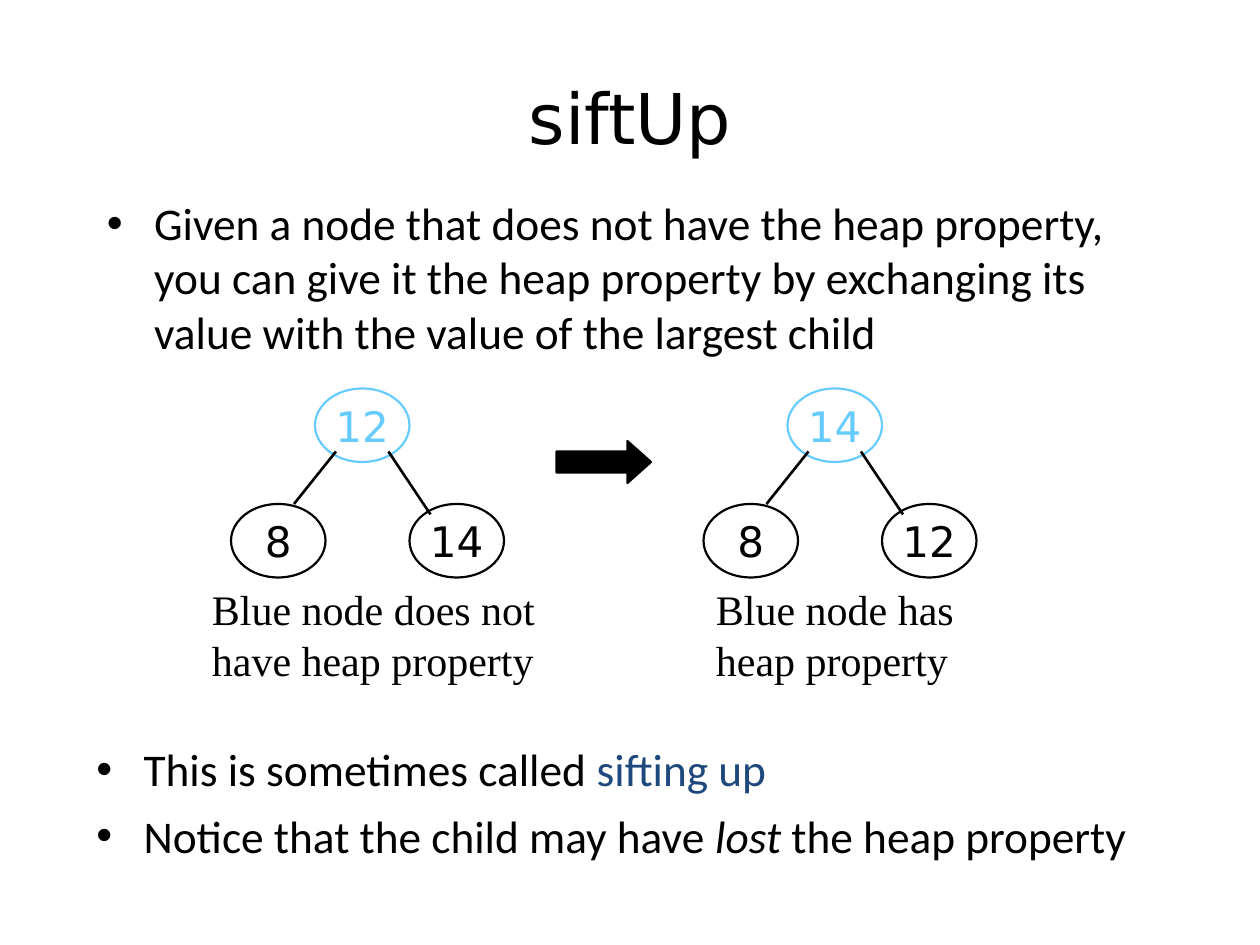
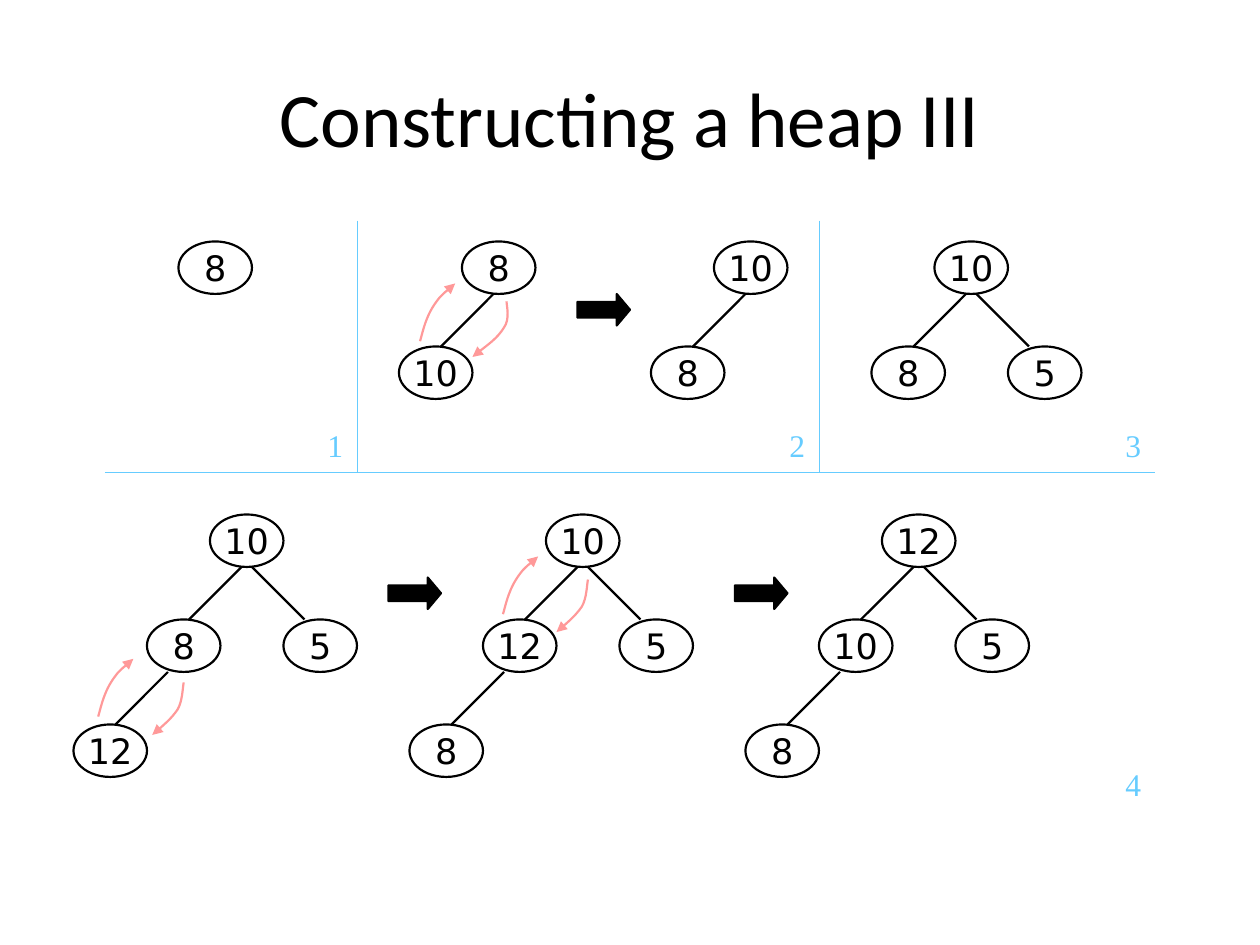
"""Build two slides on sifting up and constructing a heap."""
from lxml import etree
from pptx import Presentation
from pptx.dml.color import RGBColor
from pptx.enum.shapes import MSO_CONNECTOR, MSO_SHAPE
from pptx.enum.text import MSO_ANCHOR, PP_ALIGN
from pptx.oxml.ns import qn
from pptx.util import Cm, Pt

STRAIGHT = MSO_CONNECTOR.STRAIGHT
OVAL, RIGHT_ARROW = MSO_SHAPE.OVAL, MSO_SHAPE.RIGHT_ARROW
MIDDLE, CENTER, LEFT = MSO_ANCHOR.MIDDLE, PP_ALIGN.CENTER, PP_ALIGN.LEFT

BLACK = RGBColor(0x00, 0x00, 0x00)
SKY = RGBColor(0x66, 0xCC, 0xFF)
NAVY = RGBColor(0x1F, 0x49, 0x7D)
PINK = RGBColor(0xFF, 0x99, 0x99)

SANS, SERIF, BODY = "DejaVu Sans", "Times New Roman", "Calibri"
GRID = 2.54 / 12

TITLE_BOX = (6, 3.6, 108, 15)
BULLET_INDENT = 4.5

SIFT_BULLETS = [
    ((9, 18, 102, 20), [
        [("Given a node that does not have the heap property, you can give it the heap "
          "property by exchanging its value with the value of the largest child", None)],
    ]),
    ((8, 70, 103, 17), [
        [("This is sometimes called ", None), ("sifting up", "term")],
        [("Notice that the child may have ", None), ("lost", "stress"),
         (" the heap property", None)],
    ]),
]
SIFT_TREES = [
    ((75, 37), ("14", "8", "12"), "Blue node has heap property", (67, 55, 26, 10.8)),
    ((30, 37), ("12", "8", "14"), "Blue node does not have heap property", (19, 55, 34, 10.8)),
]
SIFT_LAYOUT = {
    "size": (9, 7), "font": 24, "edge": 1.5,
    "offsets": [(0, 0), (-8, 11), (9, 11)],
    "edges": [None, ((2, 6), (-2, 11)), ((7, 6), (11, 12))],
}

HEAP_TREES = [
    ((17, 23), ("8",)),
    ((44, 23), ("8", "10")),
    ((68, 23), ("10", "8")),
    ((89, 23), ("10", "8", "5")),
    ((20, 49), ("10", "8", "5", "12")),
    ((52, 49), ("10", "12", "5", "8")),
    ((84, 49), ("12", "10", "5", "8")),
]
HEAP_LAYOUT = {
    "size": (7, 5), "font": 20, "edge": 1.25,
    "offsets": [(0, 0), (-6, 10), (7, 10), (-13, 20)],
    "edges": [None, ((3, 5), (-2, 10)), ((4, 5), (9, 10)), ((-4, 15), (-9, 20))],
}
HEAP_ARROWS = [(55, 28), (37, 55), (70, 55)]
DIVIDERS = [((10, 45), (110, 45)), ((34, 21), (34, 45)), ((78, 21), (78, 45))]
STEP_LABELS = [("1", 30, 40), ("2", 74, 40), ("3", 106, 40), ("4", 106, 72.25)]

SWAP_UP = [(0, 5.5), (0.1, 5.2), (0.35, 4.1), (0.65, 3.4), (0.95, 2.6),
           (1.4, 1.9), (1.9, 1.3), (2.4, 0.8), (3.1, 0.25), (3.35, 0)]
SWAP_DOWN = [(3, 0), (2.9, 0.4), (2.9, 1.8), (2.4, 2.6), (1.8, 3.45), (0.5, 4.6), (0, 5)]
SWAP_DOWN_WIDE = [(3.25, 0), (3.25, 0.4), (3.6, 1.7), (3, 2.5), (2.4, 3.5), (0.6, 4.8), (0, 5.3)]
SWAPS = [
    (SWAP_UP, 40, 27), (SWAP_DOWN_WIDE, 45, 28.7),
    (SWAP_UP, 9.35, 62.75), (SWAP_DOWN, 14.5, 65),
    (SWAP_UP, 47.9, 53), (SWAP_DOWN, 53, 55.2),
]


def on_grid(*steps):
    return [Cm(step * GRID) for step in steps]


def style_font(font, name, size, color):
    font.name, font.size = name, Pt(size)
    font.color.rgb = color


def style_line(line, color, width):
    line.color.rgb, line.width = color, Pt(width)


def add_titled_slide(deck, text, font_name, size):
    slide = deck.slides.add_slide(deck.slide_layouts[5])
    title = slide.shapes.title
    title.left, title.top, title.width, title.height = on_grid(*TITLE_BOX)
    title.text_frame.text = text
    title.text_frame.vertical_anchor = MIDDLE
    heading = title.text_frame.paragraphs[0]
    heading.alignment = CENTER
    style_font(heading.font, font_name, size, BLACK)
    return slide


def add_bullets(slide, box, items):
    frame = slide.shapes.add_textbox(*on_grid(*box)).text_frame
    frame.word_wrap = True
    for index, pieces in enumerate(items):
        item = frame.paragraphs[0] if index == 0 else frame.add_paragraph()
        if index:
            item.space_before = Pt(7)
        indent = Cm(BULLET_INDENT * GRID)
        properties = item._p.get_or_add_pPr()
        properties.set("marL", str(indent))
        properties.set("indent", str(-indent))
        bullet_font = etree.SubElement(properties, qn("a:buFont"))
        bullet_font.set("typeface", "Arial")
        etree.SubElement(properties, qn("a:buChar")).set("char", "•")
        style_font(item.font, BODY, 25.9, BLACK)
        for text, role in pieces:
            run = item.add_run()
            run.text = text
            if role == "term":
                run.font.color.rgb = NAVY
            elif role == "stress":
                run.font.italic = True


def add_label(slide, box, text, size, color):
    frame = slide.shapes.add_textbox(*on_grid(*box)).text_frame
    frame.word_wrap = True
    frame.text = text
    label = frame.paragraphs[0]
    label.alignment = LEFT
    style_font(label.font, SERIF, size, color)


def add_line(slide, start, end, color, width):
    line = slide.shapes.add_connector(STRAIGHT, *on_grid(*start, *end))
    style_line(line.line, color, width)
    etree.SubElement(line._element.spPr, qn("a:effectLst"))


def add_node(slide, left, top, value, layout, color):
    node = slide.shapes.add_shape(OVAL, *on_grid(left, top, *layout["size"]))
    node.shadow.inherit = False
    node.fill.background()
    style_line(node.line, color, 1.25)
    frame = node.text_frame
    frame.word_wrap = False
    frame.vertical_anchor = MIDDLE
    frame.text = value
    frame.paragraphs[0].alignment = CENTER
    style_font(frame.paragraphs[0].font, SANS, layout["font"], color)


def add_tree(slide, root, values, layout, root_color=BLACK):
    x, y = root
    for index, (value, (dx, dy)) in enumerate(zip(values, layout["offsets"])):
        add_node(slide, x + dx, y + dy, value, layout, BLACK if index else root_color)
    for (x1, y1), (x2, y2) in layout["edges"][1:len(values)]:
        add_line(slide, (x + x1, y + y1), (x + x2, y + y2), BLACK, layout["edge"])


def add_block_arrow(slide, box, head):
    arrow = slide.shapes.add_shape(RIGHT_ARROW, *on_grid(*box))
    arrow.shadow.inherit = False
    arrow.adjustments[1] = head
    arrow.fill.solid()
    arrow.fill.fore_color.rgb = BLACK
    style_line(arrow.line, BLACK, 1.25)


def add_swap_arrow(slide, points, left, top):
    start, *rest = [on_grid(left + x, top + y) for x, y in points]
    builder = slide.shapes.build_freeform(*start)
    builder.add_line_segments(rest, close=False)
    swap = builder.convert_to_shape()
    swap.shadow.inherit = False
    swap.fill.background()
    style_line(swap.line, PINK, 1.25)
    outline = next(swap._element.iter(qn("a:path")))
    segments = outline.findall(qn("a:lnTo"))
    for first in range(0, len(segments), 3):
        curve = etree.SubElement(outline, qn("a:cubicBezTo"))
        for segment in segments[first:first + 3]:
            curve.append(segment[0])
            outline.remove(segment)
    tail = etree.SubElement(swap.line._get_or_add_ln(), qn("a:tailEnd"))
    tail.set("type", "triangle")


def build_sift_slide(deck):
    slide = add_titled_slide(deck, "siftUp", SANS, 40)
    for box, items in SIFT_BULLETS:
        add_bullets(slide, box, items)
    for root, values, caption, caption_box in SIFT_TREES:
        add_tree(slide, root, values, SIFT_LAYOUT, SKY)
        add_label(slide, caption_box, caption, 24, BLACK)
    add_block_arrow(slide, (53, 42, 9, 4), 0.56)


def build_heap_slide(deck):
    slide = add_titled_slide(deck, "Constructing a heap III", BODY, 44)
    for start, end in DIVIDERS:
        add_line(slide, start, end, SKY, 0.5)
    for root, values in HEAP_TREES:
        add_tree(slide, root, values, HEAP_LAYOUT)
    for swap in SWAPS:
        add_swap_arrow(slide, *swap)
    for left, top in HEAP_ARROWS:
        add_block_arrow(slide, (left, top, 5, 3), 0.42)
    for step, left, top in STEP_LABELS:
        add_label(slide, (left, top, 5, 4.8), step, 18, SKY)


def main():
    deck = Presentation()
    deck.slide_width, deck.slide_height = Cm(25.4), Cm(19.05)
    build_sift_slide(deck)
    build_heap_slide(deck)
    deck.save("out.pptx")


if __name__ == "__main__":
    main()
